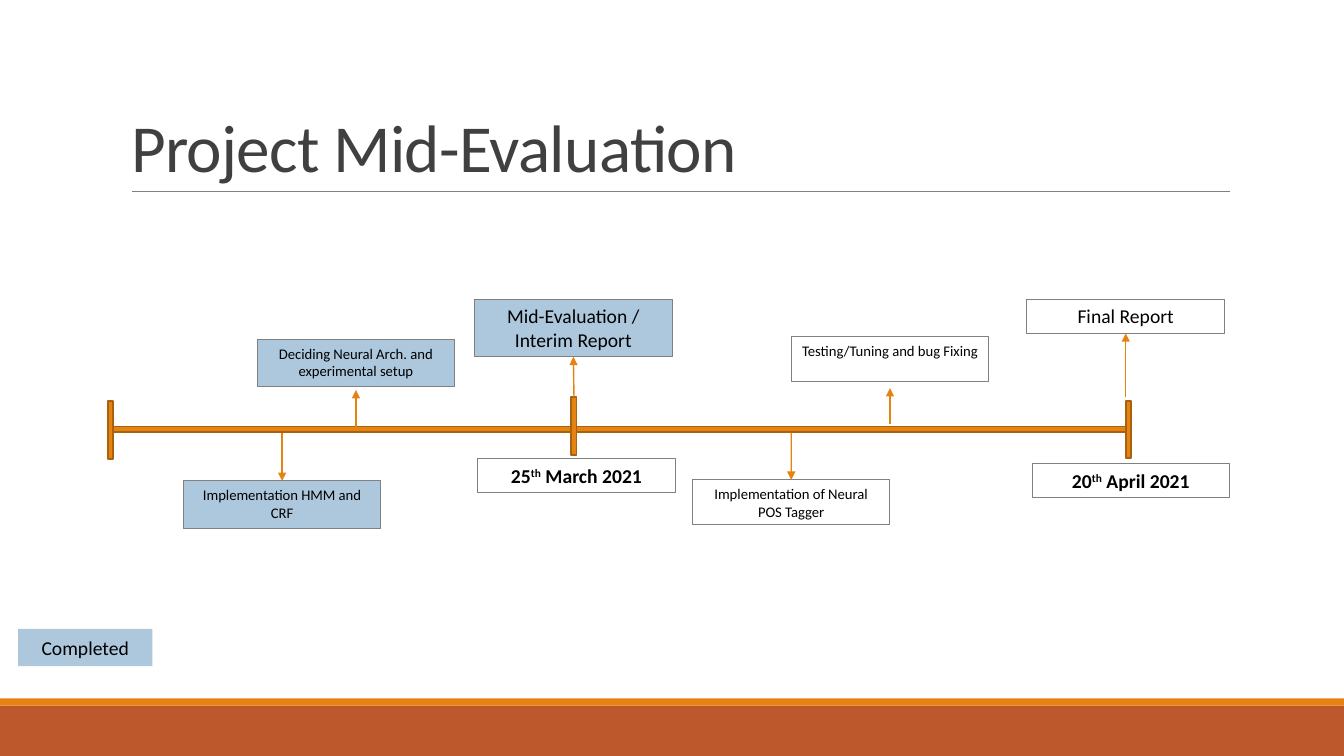
from lxml import etree
from pptx import Presentation
from pptx.dml.color import RGBColor
from pptx.enum.shapes import MSO_CONNECTOR, MSO_SHAPE
from pptx.enum.text import MSO_ANCHOR, PP_ALIGN
from pptx.oxml.ns import qn
from pptx.util import Cm, Pt

RECTANGLE = MSO_SHAPE.RECTANGLE
STRAIGHT = MSO_CONNECTOR.STRAIGHT
LEFT, CENTER = PP_ALIGN.LEFT, PP_ALIGN.CENTER
TOP, MIDDLE, BOTTOM = MSO_ANCHOR.TOP, MSO_ANCHOR.MIDDLE, MSO_ANCHOR.BOTTOM
TOP_SITE, BOTTOM_SITE = 0, 2

TITLE_ONLY = 5
SLIDE_WIDTH, SLIDE_HEIGHT = 33.87, 19.05
BOX_WIDTH = 4.98
TICK_WIDTH, TICK_HEIGHT = 0.13, 1.45
SMALL, LARGE = 10.5, 14


def color(value):
    return RGBColor.from_string(value)


class TimelineSlide:
    FONT = "Calibri"
    ORANGE = "E48312"
    DARK_ORANGE = "A9610D"
    RUST = "BD582C"
    DONE = "ADC8DD"
    GRAY = "808080"
    TITLE = "404040"
    BLACK = "000000"

    def __init__(self, presentation):
        self.slide = presentation.slides.add_slide(presentation.slide_layouts[TITLE_ONLY])
        self.shapes = self.slide.shapes

    def format_run(self, run, size, font_color, bold=False):
        run.font.name = self.FONT
        run.font.size = Pt(size)
        run.font.bold = bold
        run.font.color.rgb = color(font_color)

    def title(self, text, left, top, width, height):
        shape = self.shapes.title
        shape.left, shape.top = Cm(left), Cm(top)
        shape.width, shape.height = Cm(width), Cm(height)
        shape.text_frame.text = text
        shape.text_frame.vertical_anchor = BOTTOM
        paragraph = shape.text_frame.paragraphs[0]
        paragraph.alignment = LEFT
        paragraph.line_spacing = 0.85
        run = paragraph.runs[0]
        self.format_run(run, 48, self.TITLE)
        run.font._element.set("spc", "-50")

    def rectangle(self, left, top, width, height, fill=None, line=None, line_width=0.75):
        shape = self.shapes.add_shape(RECTANGLE, Cm(left), Cm(top), Cm(width), Cm(height))
        shape.shadow.inherit = False
        if fill:
            shape.fill.solid()
            shape.fill.fore_color.rgb = color(fill)
        else:
            shape.fill.background()
        if line:
            shape.line.color.rgb = color(line)
            shape.line.width = Pt(line_width)
        else:
            shape.line.fill.background()
        return shape

    def bar(self, left, top, width, height):
        return self.rectangle(left, top, width, height, self.ORANGE, self.DARK_ORANGE, 1.25)

    def label(self, shape, text, size, anchor=TOP):
        frame = shape.text_frame
        frame.word_wrap = True
        frame.vertical_anchor = anchor
        frame.text = text
        paragraph = frame.paragraphs[0]
        paragraph.alignment = CENTER
        self.format_run(paragraph.runs[0], size, self.BLACK)

    def box(self, text, left, top, height, size, fill=None):
        shape = self.rectangle(left, top, BOX_WIDTH, height, fill, self.GRAY)
        self.label(shape, text, size)
        return shape

    def date_box(self, day, month, left, top):
        """Draw a bold date whose ordinal ending is raised."""
        shape = self.box(day, left, top, 0.86, LARGE)
        paragraph = shape.text_frame.paragraphs[0]
        for text in ("th", month):
            paragraph.add_run().text = text
        for run in paragraph.runs:
            self.format_run(run, LARGE, self.BLACK, bold=True)
        paragraph.runs[1].font._element.set("baseline", "30000")

    def line(self, x1, y1, x2, y2, line_color, width):
        connector = self.shapes.add_connector(STRAIGHT, Cm(x1), Cm(y1), Cm(x2), Cm(y2))
        connector.line.color.rgb = color(line_color)
        connector.line.width = Pt(width)
        etree.SubElement(connector._element.spPr, qn("a:effectLst"))
        return connector

    def arrow(self, x, start, end):
        connector = self.line(x, start, x, end, self.ORANGE, 1)
        outline = connector.line._get_or_add_ln()
        etree.SubElement(outline, qn("a:tailEnd"), type="triangle")
        return connector


def main():
    presentation = Presentation()
    presentation.slide_width = Cm(SLIDE_WIDTH)
    presentation.slide_height = Cm(SLIDE_HEIGHT)
    page = TimelineSlide(presentation)

    page.rectangle(0, 17.78, SLIDE_WIDTH, 1.27, page.RUST)
    page.rectangle(0, 17.6, SLIDE_WIDTH, 0.18, page.ORANGE)
    page.line(3.33, 4.82, 31, 4.82, page.GRAY, 0.5)
    page.title("Project Mid-Evaluation", 3.05, 0.79, 27.94, 4.03)

    page.bar(2.84, 10.75, 25.53, 0.13)
    ticks = [
        page.bar(left, top, TICK_WIDTH, TICK_HEIGHT)
        for left, top in ((2.72, 10.11), (14.4, 10.01), (28.37, 10.1))
    ]

    # Text, left, top, height, size, fill, arrow start, arrow end (None: touches the box)
    milestones = [
        ("Implementation HMM and CRF", 4.62, 12.12, 1.19, SMALL, page.DONE, 10.92, None),
        ("Deciding Neural Arch. and experimental setup", 6.48, 8.56, 1.19, SMALL,
         page.DONE, 10.75, 9.83),
        ("Mid-Evaluation / Interim Report", 11.96, 7.54, 1.45, LARGE, page.DONE, 10.01, None),
        ("Implementation of Neural POS Tagger", 17.45, 12.09, 1.14, SMALL, None, 10.9, None),
        ("Testing/Tuning and bug Fixing", 19.94, 8.48, 1.14, SMALL, None, 10.69, 9.78),
        ("Final Report", 25.88, 7.54, 0.86, LARGE, None, 10.01, None),
    ]
    arrows = {}
    for text, left, top, height, size, fill, start, end in milestones:
        box = page.box(text, left, top, height, size, fill)
        below = top > start
        arrow = page.arrow(left + BOX_WIDTH / 2, start, end or (top if below else top + height))
        if end is None:
            arrow.end_connect(box, TOP_SITE if below else BOTTOM_SITE)
        arrows[text] = arrow
    arrows["Mid-Evaluation / Interim Report"].begin_connect(ticks[1], TOP_SITE)

    page.date_box("25", " March 2021", 12.04, 11.56)
    page.date_box("20", " April 2021", 26.01, 11.68)

    legend = page.rectangle(0.46, 15.85, 3.38, 0.94, page.DONE)
    page.label(legend, "Completed", LARGE, MIDDLE)

    presentation.save("out.pptx")


if __name__ == "__main__":
    main()
